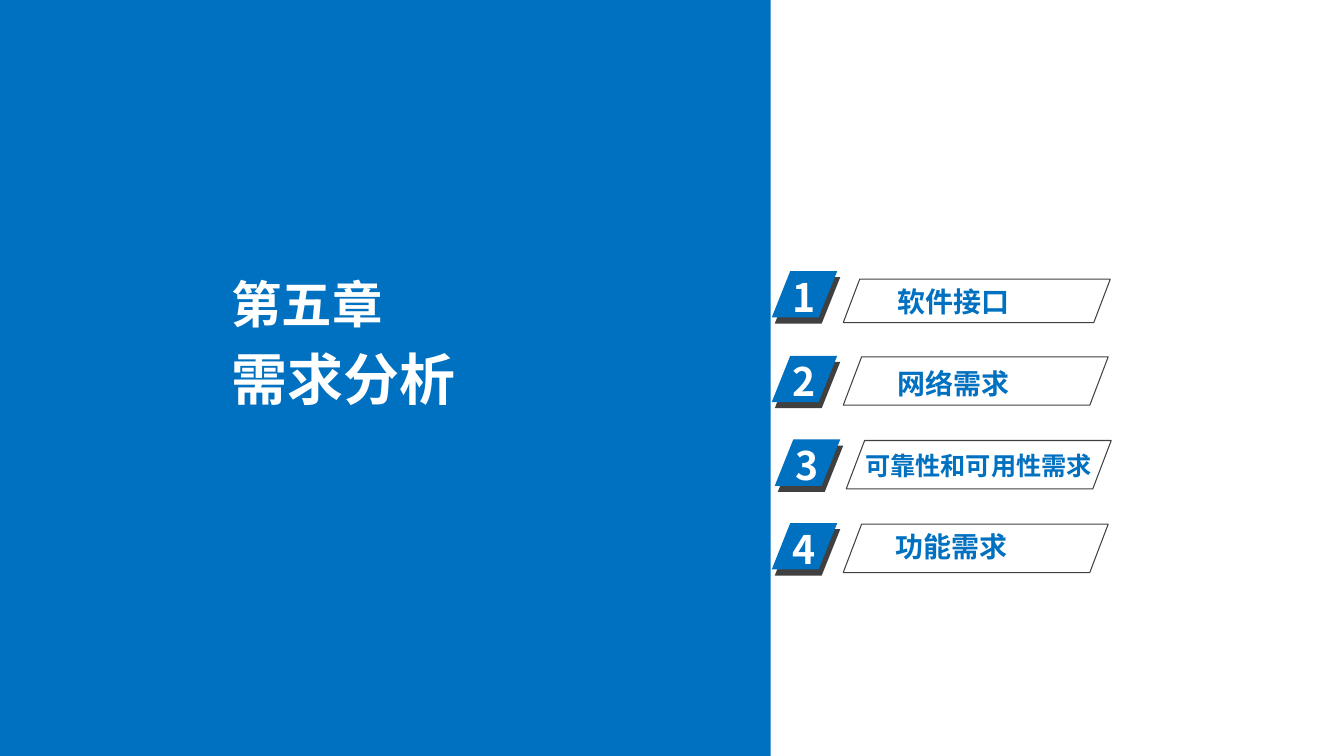
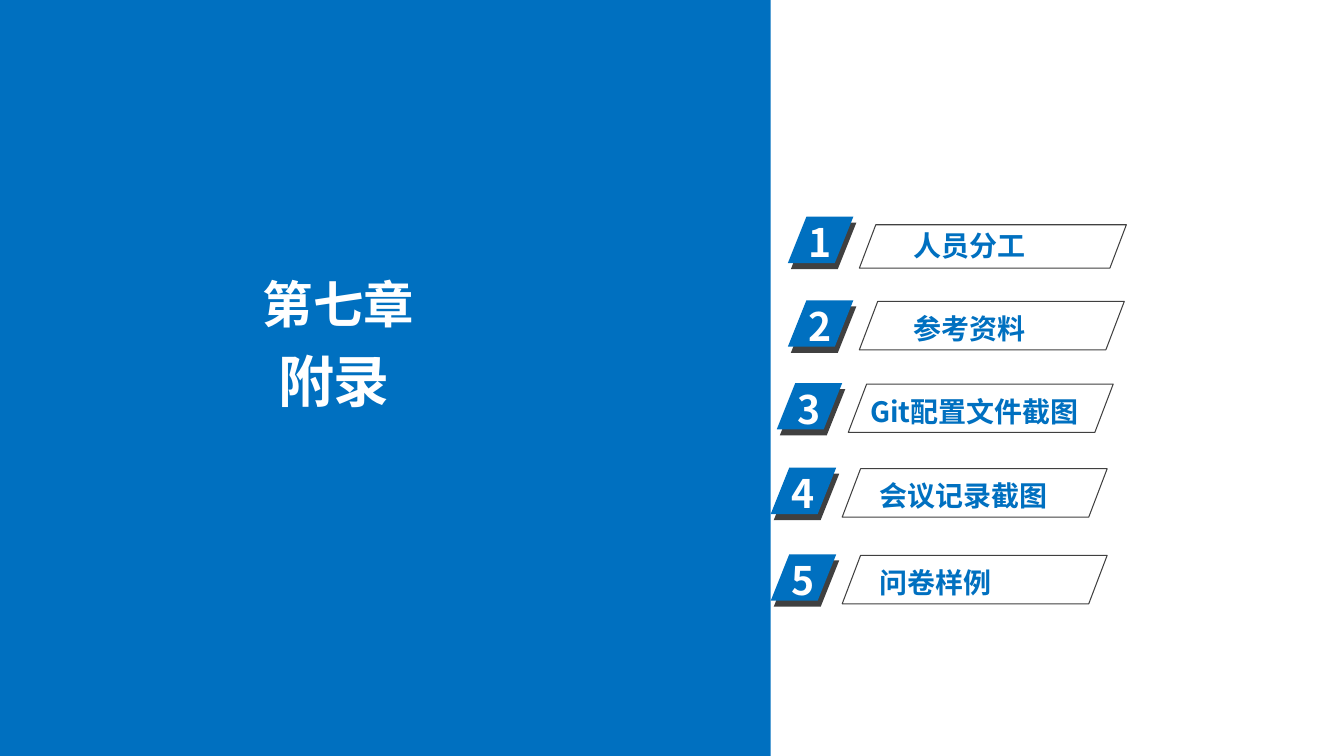
"""Build two chapter divider slides, each with a numbered list of sections."""
from typing import NamedTuple

from lxml import etree
from pptx import Presentation
from pptx.dml.color import RGBColor
from pptx.enum.shapes import MSO_SHAPE
from pptx.enum.text import MSO_ANCHOR, MSO_AUTO_SIZE, PP_ALIGN
from pptx.oxml.ns import qn
from pptx.util import Inches, Pt

RECTANGLE, SLANTED = MSO_SHAPE.RECTANGLE, MSO_SHAPE.PARALLELOGRAM
TOP, LEFT, FIXED = MSO_ANCHOR.TOP, PP_ALIGN.LEFT, MSO_AUTO_SIZE.NONE
TITLE_ONLY = 5
FONT = "Noto Sans CJK SC"
BLUE, DARK, WHITE = "0070C0", "404040", "FFFFFF"
CHAPTER_SIZE, TITLE_SIZE, NUMBER_SIZE = 36, 40, 28

SLIDE_WIDTH, SLIDE_HEIGHT, PANEL_WIDTH = 13.34, 7.5, 7.65
BADGE_WIDTH, BADGE_HEIGHT, BADGE_SLANT = 0.65, 0.46, 0.4
SHADE_RIGHT, SHADE_DOWN = 0.03, 0.06
NUMBER_RIGHT, NUMBER_UP, NUMBER_WIDTH, NUMBER_HEIGHT = 0.11, 0.03, 0.69, 0.57
FRAME_RIGHT, FRAME_SLANT, FRAME_LINE = 0.71, 0.38, 0.75
LABEL_WIDTH, LABEL_HEIGHT = 3.03, 0.44


class Frame(NamedTuple):
    down: float
    width: float
    height: float


class Section(NamedTuple):
    label: str
    left: float
    top: float
    label_right: float
    label_down: float = 0.06
    size: int = 20


FIRST_FRAME = Frame(down=0.08, width=2.65, height=0.43)
OTHER_FRAME = Frame(down=0.01, width=2.63, height=0.48)

CHAPTERS = [
    {
        "chapter": ("第五章", (2.2, 2.66, 1.81, 0.7)),
        "title": ("需求分析", (2.2, 3.37, 3.77, 0.77)),
        "sections": [
            Section("软件接口", 7.66, 2.69, 1.15, label_down=0.08),
            Section("网络需求", 7.66, 3.53, 1.15),
            Section("可靠性和可用性需求", 7.69, 4.36, 0.8, size=18),
            Section("功能需求", 7.66, 5.19, 1.13, label_down=0.01),
        ],
    },
    {
        "chapter": ("第七章", (2.51, 2.66, 1.81, 0.7)),
        "title": ("附录", (2.66, 3.39, 1.81, 0.77)),
        "sections": [
            Section("人员分工", 7.82, 2.15, 1.15, label_down=0.07),
            Section("参考资料", 7.82, 2.98, 1.15),
            Section("Git配置文件截图", 7.71, 3.8, 0.83),
            Section("会议记录截图", 7.65, 4.64, 0.98),
            Section("问卷样例", 7.65, 5.5, 0.98),
        ],
    },
]


def color(code):
    return RGBColor.from_string(code)


def lengths(area):
    return [Inches(value) for value in area]


def write(box, text, size, code):
    frame = box.text_frame
    frame.word_wrap = True
    frame.auto_size = FIXED
    frame.vertical_anchor = TOP
    para = frame.paragraphs[0]
    para.alignment = LEFT
    span = para.add_run()
    span.text = text
    span.font.size = Pt(size)
    span.font.bold = True
    span.font.color.rgb = color(code)
    span.font.name = FONT
    etree.SubElement(span._r.get_or_add_rPr(), qn("a:ea"), typeface=FONT)


def add_text(shapes, area, text, size, code):
    write(shapes.add_textbox(*lengths(area)), text, size, code)


def add_filled(shapes, kind, area, code):
    block = shapes.add_shape(kind, *lengths(area))
    block.shadow.inherit = False
    block.fill.solid()
    block.fill.fore_color.rgb = color(code)
    block.line.fill.background()
    return block


def add_outline(shapes, area):
    outline = shapes.add_shape(SLANTED, *lengths(area))
    outline.shadow.inherit = False
    outline.adjustments[0] = FRAME_SLANT
    outline.fill.background()
    outline.line.color.rgb = color(DARK)
    outline.line.width = Pt(FRAME_LINE)


def add_badge(page, number, left, top):
    badge = page.shapes.add_group_shape().shapes
    for right, down, code in ((SHADE_RIGHT, SHADE_DOWN, DARK), (0, 0, BLUE)):
        area = (left + right, top + down, BADGE_WIDTH, BADGE_HEIGHT)
        add_filled(badge, SLANTED, area, code).adjustments[0] = BADGE_SLANT
    area = (left + NUMBER_RIGHT, top - NUMBER_UP, NUMBER_WIDTH, NUMBER_HEIGHT)
    add_text(badge, area, str(number), NUMBER_SIZE, WHITE)


def add_section(page, number, section):
    left, top = section.left, section.top
    add_badge(page, number, left, top)
    frame = FIRST_FRAME if number == 1 else OTHER_FRAME
    add_outline(page.shapes, (left + FRAME_RIGHT, top + frame.down, frame.width, frame.height))
    area = (left + section.label_right, top + section.label_down, LABEL_WIDTH, LABEL_HEIGHT)
    add_text(page.shapes, area, section.label, section.size, BLUE)


def add_heading(page, chapter, title):
    panel = add_filled(page.shapes, RECTANGLE, (0, 0, PANEL_WIDTH, SLIDE_HEIGHT), BLUE)
    heading = page.shapes.title
    heading.element.addprevious(panel.element)
    text, area = title
    heading.left, heading.top, heading.width, heading.height = lengths(area)
    write(heading, text, TITLE_SIZE, WHITE)
    text, area = chapter
    add_text(page.shapes, area, text, CHAPTER_SIZE, WHITE)


def main():
    deck = Presentation()
    deck.slide_width, deck.slide_height = lengths((SLIDE_WIDTH, SLIDE_HEIGHT))
    for content in CHAPTERS:
        page = deck.slides.add_slide(deck.slide_layouts[TITLE_ONLY])
        add_heading(page, content["chapter"], content["title"])
        for number, section in enumerate(content["sections"], 1):
            add_section(page, number, section)
    deck.save("out.pptx")


if __name__ == "__main__":
    main()
